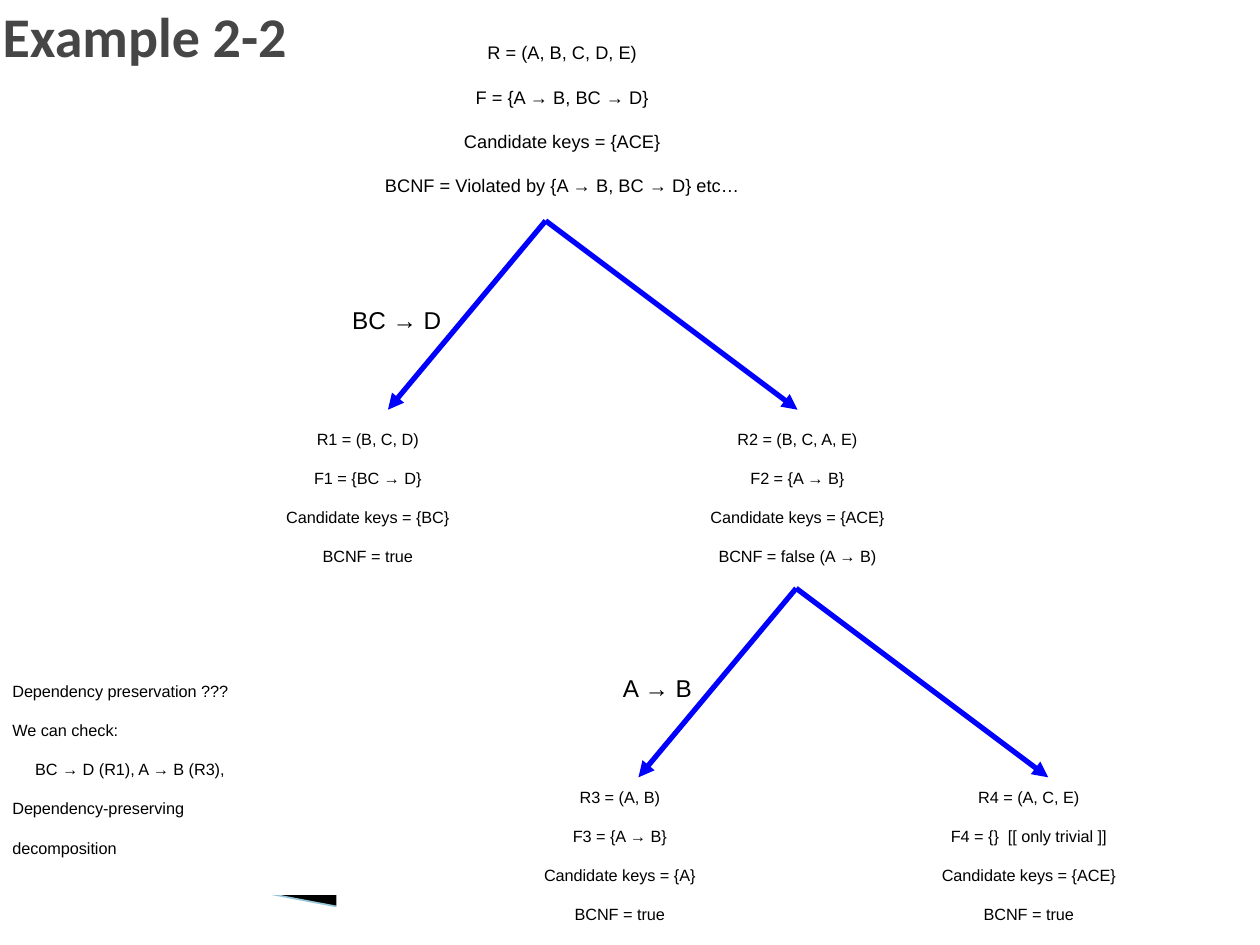
from lxml import etree
from pptx import Presentation
from pptx.dml.color import RGBColor
from pptx.enum.shapes import MSO_CONNECTOR, MSO_SHAPE
from pptx.enum.text import MSO_ANCHOR, PP_ALIGN
from pptx.oxml.ns import qn
from pptx.util import Cm, Pt

STRAIGHT = MSO_CONNECTOR.STRAIGHT
RECTANGLE = MSO_SHAPE.RECTANGLE
MIDDLE, TOP = MSO_ANCHOR.MIDDLE, MSO_ANCHOR.TOP
LEFT, CENTER, RIGHT = PP_ALIGN.LEFT, PP_ALIGN.CENTER, PP_ALIGN.RIGHT

BLACK, WHITE, BLUE, GREY, TEAL = "000000", "FFFFFF", "0000FF", "464646", "97C5D8"
HANGING = 1.47
NODE_HEIGHT = 3.81

TITLE = "Example 2-2"
WEDGE = [(1.63, 17.27), (13.69, 19.08), (11.15, 19.1), (1.65, 17.3)]
WEDGE_EDGE = ((0, 16.99), (11.15, 19.1))

R3 = (6.78, 15.67, 11.43, 16,
      ["R3 = (A, B)", "F3 = {A → B}", "Candidate keys = {A}", "BCNF = true"])
RELATIONS = [
    (4.45, 0.64, 13.77, 18,
     ["R = (A, B, C, D, E)", "F = {A → B, BC → D}", "Candidate keys = {ACE}",
      "BCNF = Violated by {A → B, BC → D} etc…"]),
    (1.7, 8.46, 11.43, 16,
     ["R1 = (B, C, D)", "F1 = {BC → D}", "Candidate keys = {BC}", "BCNF = true"]),
    (10.36, 8.46, 11.43, 16,
     ["R2 = (B, C, A, E)", "F2 = {A → B}", "Candidate keys = {ACE}",
      "BCNF = false (A → B)"]),
    (17.35, 15.67, 6.78, 16,
     ["R4 = (A, C, E)", "F4 = {}  [[ only trivial ]]", "Candidate keys = {ACE}",
      "BCNF = true"]),
]
FORKS = [(11, 4.45, "BC → D", 2.57), (16.05, 11.86, "A → B", 2.13)]
BRANCHES = [(-3.18, 3.81), (5.08, 3.81)]
PRESERVATION = ["Dependency preservation ???", "We can check:", "BC → D (R1), A → B (R3),",
                "Dependency-preserving", "decomposition"]
INDENTED_LINE = 2


def color(hex_text):
    return RGBColor.from_string(hex_text)


def paint(shape, fill, line=None, width=3):
    shape.shadow.inherit = False
    shape.fill.solid()
    shape.fill.fore_color.rgb = color(fill)
    if line:
        shape.line.color.rgb = color(line)
        shape.line.width = Pt(width)
    else:
        shape.line.fill.background()


def write(shape, lines, size, align, hanging=HANGING):
    frame = shape.text_frame
    frame.word_wrap = True
    frame.vertical_anchor = TOP
    frame.text = "\n".join(lines)
    for paragraph in frame.paragraphs:
        paragraph.alignment = align
        if hanging:
            paragraph.space_before = Pt(size * 0.2)
            indent_line(paragraph, hanging)
        for run in paragraph.runs:
            run.font.name = "Arial"
            run.font.size = Pt(size)
            run.font.color.rgb = color(BLACK)
            run._r.get_or_add_rPr().set("baseline", "30000")


def indent_line(paragraph, hanging):
    properties = paragraph._p.get_or_add_pPr()
    properties.set("marL", str(Cm(HANGING)))
    properties.set("indent", str(-Cm(hanging)))


def add_line(slide, start, end, line_color, width, arrow=False):
    connector = slide.shapes.add_connector(STRAIGHT, *(Cm(v) for v in (*start, *end)))
    connector.line.color.rgb = color(line_color)
    connector.line.width = Pt(width)
    if arrow:
        etree.SubElement(connector.line._get_or_add_ln(), qn("a:tailEnd"), type="triangle")
    etree.SubElement(connector._element.spPr, qn("a:effectLst"))


def add_relation(slide, relation, filled=False):
    left, top, width, size, lines = relation
    place = [Cm(v) for v in (left, top, width, NODE_HEIGHT)]
    if filled:
        node = slide.shapes.add_shape(RECTANGLE, *place)
        paint(node, WHITE)
    else:
        node = slide.shapes.add_textbox(*place)
    write(node, lines, size, CENTER)


def add_title(slide):
    title = slide.shapes.title
    title.left, title.top, title.width, title.height = Cm(-0.2), Cm(-0.3), Cm(25.4), Cm(2.01)
    title.text_frame.text = TITLE
    title.text_frame.vertical_anchor = MIDDLE
    paragraph = title.text_frame.paragraphs[0]
    paragraph.alignment = LEFT
    font = paragraph.runs[0].font
    font.name, font.size, font.bold = "Calibri", Pt(32), True
    font.color.rgb = color(GREY)


def add_wedge(slide):
    corners = [(Cm(x), Cm(y)) for x, y in WEDGE]
    builder = slide.shapes.build_freeform(*corners[0])
    builder.add_line_segments(corners[1:])
    paint(builder.convert_to_shape(), BLACK)
    add_line(slide, *WEDGE_EDGE, TEAL, 0.95)


def add_fork(slide, x, y, dependency, width):
    for dx, dy in BRANCHES:
        add_line(slide, (x, y), (x + dx, y + dy), BLUE, 3, arrow=True)
    label = slide.shapes.add_textbox(Cm(x - 1.85 - width), Cm(y + 1.48), Cm(width), Cm(0.94))
    write(label, [dependency], 24, RIGHT, hanging=0)
    label.text_frame.word_wrap = False


def add_preservation(slide):
    panel = slide.shapes.add_shape(RECTANGLE, Cm(0), Cm(13.54), Cm(8.26), Cm(4.45))
    paint(panel, WHITE, WHITE)
    write(panel, PRESERVATION, 16, LEFT)
    indent_line(panel.text_frame.paragraphs[INDENTED_LINE], HANGING - 0.46)


def main():
    """Build the BCNF decomposition tree slide."""
    deck = Presentation()
    deck.slide_width, deck.slide_height = Cm(25.4), Cm(19.05)
    slide = deck.slides.add_slide(deck.slide_layouts[5])
    add_title(slide)
    add_wedge(slide)
    add_relation(slide, R3, filled=True)
    for fork in FORKS:
        add_fork(slide, *fork)
    for relation in RELATIONS:
        add_relation(slide, relation)
    add_preservation(slide)
    deck.save("out.pptx")


if __name__ == "__main__":
    main()
